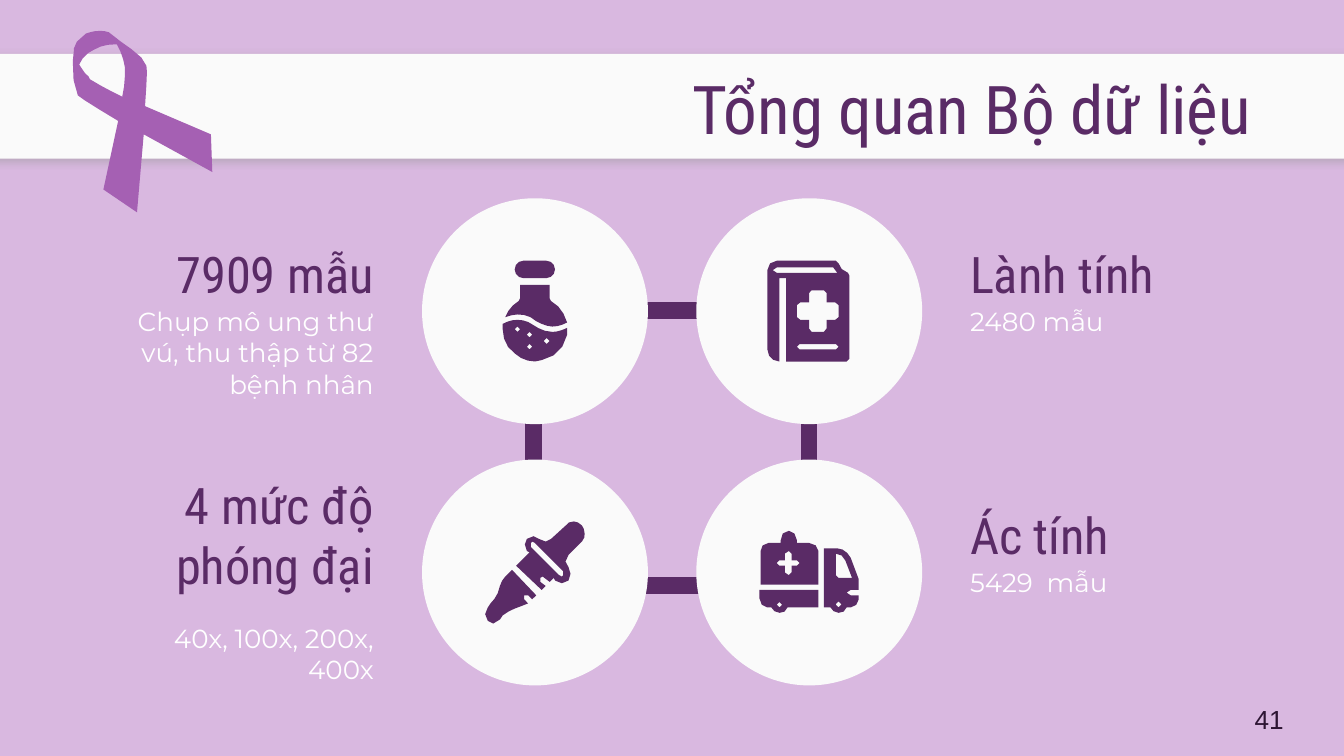
from dataclasses import dataclass
from math import cos, dist, pi, sin

from lxml.etree import SubElement
from pptx import Presentation
from pptx.dml.color import RGBColor as RGB
from pptx.enum.shapes import MSO_SHAPE as SHAPE
from pptx.enum.text import MSO_ANCHOR as ANCHOR, PP_ALIGN as ALIGN
from pptx.oxml.ns import qn
from pptx.util import Pt


@dataclass(frozen=True)
class Theme:
    background: str = "D9B8E0"
    panel: str = "FAFAFA"
    dark: str = "5A2B66"
    ribbon: str = "A560B3"
    white: str = "FFFFFF"
    number: str = "2D1533"
    shade: str = "999999"
    heading_font: str = "Roboto Condensed"
    body_font: str = "Montserrat"
    number_font: str = "Arial"
    title_size: int = 36
    heading_size: int = 27
    body_size: int = 14


UNIT = Pt(0.72)

RIBBON = """
M86,33 C80,33,75,34,70,37 C65,39,61,43,59,48 C61,51,63,55,66,57 L67,59 C75,64,83,68,91,72
C93,64,93,57,93,50 C92,44,90,38,87,33 Z
M74,23 C76,23,79,23,81,24 L90,31 C97,36,108,43,109,49 C110,50,109,63,108,79
L157,100,158,128,107,100,102,158,77,141,88,90
C73,81,60,73,58,71 C53,64,54,39,55,38 C55,38,54,31,64,25 C67,24,70,23,74,23 Z
"""
FLASK = [
    "R383,194,413,207,6.5",
    """R383,243,387,247,2 R392,247,396,251,2 R404.5,251.5,409,256,2.25 R392,256,396,260,2
    M385,238 C381,238,378,239,374,241 L374,245 C374,252,377,259,383,263
    C387,267,393,269,398,269 C400,269,401,269,403,268 C413,266,420,259,422,249
    L422,244 C418,246,414,247,411,247 C405,247,400,244,397,242
    C393,239,389,238,385,238 Z""",
    """M387,212 L387,222,386,224 C381,227,378,231,376,236 C379,235,382,234,385,234
    C390,234,395,235,399,239 C403,241,407,243,411,243 C415,243,418,242,422,240
    C420,233,416,227,410,224 L409,222,409,212 Z""",
]
BOOK = ["""
M620,199 L623,203,578,203,575,201,578,199 Z
M613,216 L615,218,615,225,621.5,225,624,227,624,236,621.5,238,615,238,615,244.5,613,247
L604,247,602,244.5,602,238,595.5,238,593,236,593,227,595.5,225,602,225,602,218,604,216 Z
R593,256,624,260,2
M578,194 C574,194,571,197,571,201 L571,260 C571,265,575,269,580,269 L580,207,585,207,585,269,630,269
L632,267,632,205,631,203 C627,202,625,199,624,196 L622,194 Z
"""]
DROPPER = [
    """M381,424 L376,429 C374,431,373,433,372,436 C371,442,368,446,365,449 L363,452
    C361,453,361,455,361,457 C361,459,361,460,363,462 C364,463,366,464,367,464 C369,463,371,462,372,461
    L374,458 C378,455,382,453,388,451 L393,449,390,446,390,443,393,443,396,446,399,443 Z""",
    """M396,403 L398,404,419,425,419,428,418,429,416,428,395,407,395,404 Z
    M427,388 C424,388,422,389,421,391 L410,401 C409,402,407,403,406,403 C404,403,402,402,401,401
    C400,400,398,399,397,399 C395,399,393,400,392,401 C390,403,390,407,392,410
    L394,411,384,421,403,439,406,436,402,433,402,430,404,429,405,430,409,433,412,430,413,432
    C415,433,416,434,418,434 C420,434,422,433,423,432 C425,429,425,425,423,422 C420,420,420,416,423,413
    L433,403 C435,401,435,399,435,397 C435,395,434,392,433,391 C431,389,429,388,427,388 Z""",
]
AMBULANCE = [
    """M587,410 L589,412,589,417,593,417,595,419,593,421,589,421,589,426,587,428,584,426
    L584,421,580,421,578,419,580,417,584,417,584,412 Z
    M587,395 C583,395,581,398,581,402 L581,404,572,404 C568,404,566,407,566,410 L566,435,609,435,609,410
    C609,407,606,404,602,404 L593,404,593,402 C593,398,590,395,587,395 Z""",
    """R578,448,582,452,2
    M565,439 L565,445 C565,449,568,452,571,452 L574,452 C575,454,577,456,580,456
    C583,456,585,455,586,452 L609,452,609,439 Z""",
    """M622,412 C625,412,628,414,629,417 L634,430,624,430,622,428 Z
    R622,447.5,626,452,2
    M613,408 L613,452,618,452 C619,454,621,456,624,456 C627,456,629,455,630,452 L633,452
    C636,452,639,449,639,446 L639,443,633,443,630,441,633,439,639,439,639,431,633,415
    C631,411,627,408,623,408 Z""",
]


def rounded_box(left, top, right, bottom, radius):
    corners = [(right - radius, bottom - radius), (left + radius, bottom - radius),
               (left + radius, top + radius), (right - radius, top + radius)]
    steps = 1 + int(radius // 3)
    return [(x + radius * cos((i + k / steps) * pi / 2), y + radius * sin((i + k / steps) * pi / 2))
            for i, (x, y) in enumerate(corners) for k in range(steps + 1)]


def curve(a, b, c, d):
    steps = max(1, min(3, round(dist(a, d) / 4)))
    for t in (k / steps for k in range(1, steps + 1)):
        u = 1 - t
        yield tuple(u**3 * p + 3 * u * u * t * q + 3 * u * t * t * r + t**3 * s
                    for p, q, r, s in zip(a, b, c, d))


def contours(drawing):
    points = []
    for token in drawing.split():
        command, values = token[0], [float(v) for v in token[1:].split(",") if v]
        pairs = list(zip(values[::2], values[1::2]))
        if command == "R":
            yield rounded_box(*values)
        elif command == "Z":
            yield points
        elif command == "M":
            points = pairs
        elif command == "L":
            points.extend(pairs)
        else:
            points.extend(curve(points[-1], *pairs))


class Deck:
    def __init__(self, theme):
        self.theme = theme
        self.prs = Presentation()
        self.prs.slide_width, self.prs.slide_height = Pt(720), Pt(405)
        self.slide = self.prs.slides.add_slide(self.prs.slide_layouts[6])
        self.shapes = self.slide.shapes
        self.slide.background.fill.solid()
        self.slide.background.fill.fore_color.rgb = RGB.from_string(theme.background)

    def paint(self, sp, color):
        sp.shadow.inherit = False
        sp.fill.solid()
        sp.fill.fore_color.rgb = RGB.from_string(color)
        sp.line.fill.background()
        return sp

    def shape(self, kind, x, y, w, h):
        sp = self.shapes.add_shape(kind, Pt(x), Pt(y), Pt(w), Pt(h))
        return self.paint(sp, self.theme.panel)

    def band(self, x, y, w, h):
        sp = self.shape(SHAPE.RECTANGLE, x, y, w, h)
        effects = sp._element.spPr.find(qn("a:effectLst"))
        shadow = SubElement(effects, qn("a:outerShdw"), blurRad=str(Pt(4.5)), dist=str(Pt(1.5)),
                            dir="5400000", algn="bl", rotWithShape="0")
        color = SubElement(shadow, qn("a:srgbClr"), val=self.theme.shade)
        SubElement(color, qn("a:alpha"), val="50000")

    def frame(self, x, y, size, width):
        sp = self.shape(SHAPE.RECTANGLE, x, y, size, size)
        sp.fill.background()
        sp.line.color.rgb = RGB.from_string(self.theme.dark)
        sp.line.width = Pt(width)

    def outline(self, drawing, color):
        builder = None
        for points in contours(drawing):
            (x, y), *rest = [(px * UNIT, py * UNIT) for px, py in points]
            if builder is None:
                builder = self.shapes.build_freeform(x, y)
            else:
                builder.move_to(x, y)
            builder.add_line_segments(rest, close=True)
        return self.paint(builder.convert_to_shape(), color)

    def icon(self, drawings):
        parts = [self.outline(d, self.theme.dark) for d in drawings]
        if len(parts) > 1:
            self.shapes.add_group_shape(parts)

    def text(self, words, x, y, w, h, font, size, color, align=ALIGN.LEFT, anchor=ANCHOR.TOP):
        tf = self.shapes.add_textbox(Pt(x), Pt(y), Pt(w), Pt(h)).text_frame
        tf.word_wrap = True
        tf.vertical_anchor = anchor
        tf.margin_left = tf.margin_right = tf.margin_top = tf.margin_bottom = Pt(7.2)
        p = tf.paragraphs[0]
        p.text = words
        p.alignment = align
        p.font.name, p.font.size = font, Pt(size)
        p.font.color.rgb = RGB.from_string(color)

    def caption(self, heading, body, right, top, gap, align):
        t = self.theme
        self.text(heading, right - 170.6, top, 170.6, 28, t.heading_font, t.heading_size,
                  t.dark, align, ANCHOR.MIDDLE)
        left = right - (170.6 if align == ALIGN.LEFT else 155.5)
        self.text(body, left, top + gap, 155.5, 45.4, t.body_font, t.body_size, t.white, align)


def main():
    t = Theme()
    deck = Deck(t)
    deck.band(-13.7, 28.8, 749.5, 56.2)
    deck.outline(RIBBON, t.ribbon)
    deck.frame(285.8, 166.3, 147.6, 9)
    deck.text("Tổng quan Bộ dữ liệu", 42.5, 28.8, 635, 45.4, t.heading_font, t.title_size,
              t.dark, ALIGN.RIGHT)
    for y in (106.2, 246.2):
        for x in (226.1, 373):
            deck.shape(SHAPE.OVAL, x, y, 121, 121)
    for heading, body, right, top, gap, align in (
        ("Lành tính", "2480 mẫu", 683.2, 132.5, 23.8, ALIGN.LEFT),
        ("Ác tính", "5429  mẫu", 683.2, 272.2, 23.8, ALIGN.LEFT),
        ("7909 mẫu", "Chụp mô ung thư vú, thu thập từ 82 bệnh nhân", 207.4, 132.5, 23.8, ALIGN.RIGHT),
        ("4 mức độ phóng đại", "40x, 100x, 200x, 400x", 207.4, 272.2, 54, ALIGN.RIGHT),
    ):
        deck.caption(heading, body, right, top, gap, align)
    for drawings in (FLASK, BOOK, DROPPER, AMBULANCE):
        deck.icon(drawings)
    deck.text("41", 532.8, 374.4, 162, 21.6, t.number_font, t.body_size, t.number,
              ALIGN.RIGHT, ANCHOR.MIDDLE)
    deck.prs.save("out.pptx")


if __name__ == "__main__":
    main()
